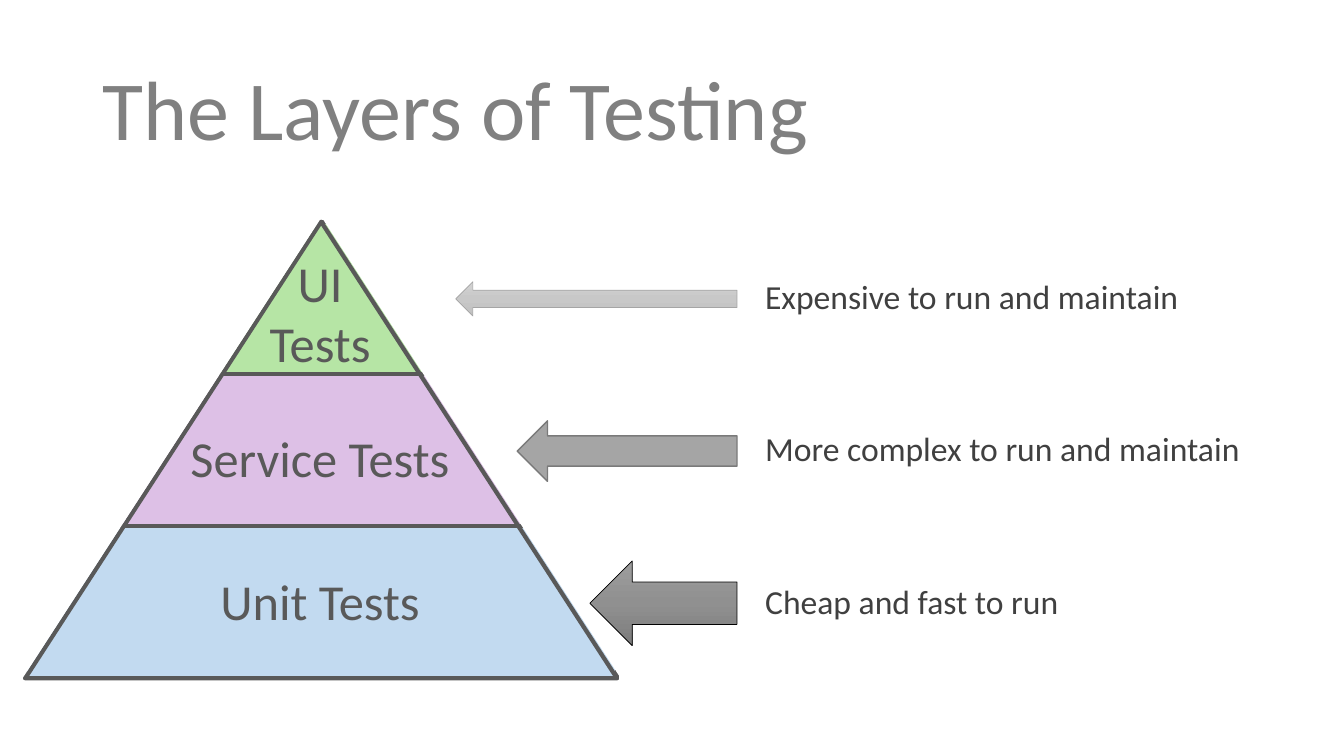
from copy import deepcopy
from pptx import Presentation
from pptx.dml.color import RGBColor
from pptx.enum.shapes import MSO_SHAPE
from pptx.enum.text import MSO_ANCHOR, MSO_AUTO_SIZE, PP_ALIGN
from pptx.oxml.ns import qn
from pptx.util import Inches, Pt

COLORS = {
    "title": "808080", "outline": "595959", "note": "404040", "white": "FFFFFF",
    "ui": "B6E5A5", "service": "DDC0E6", "unit": "C2DAF0",
}
W, H = 13.33, 7.5
PYRAMID = (0.25, 2.2, 5.87, 4.53)
MASK_W, MASK_H = 3.58, 5.52
ARROW_RIGHT, NOTE_LEFT = 7.31, 7.49

# Top to bottom; label_dy is the label's distance below the top of its layer
LAYERS = [
    dict(color="ui", label=["UI", "Tests"], label_dy=0.25, label_h=1.31,
         note="Expensive to run and maintain", arrow=(2.79, 0.34),
         fill=["D2D2D2", "C8C8C8", "C0C0C0"], line=("A5A5A5", 0.5)),
    dict(color="service", label=["Service Tests"], label_dy=0.48, label_h=0.71,
         note="More complex to run and maintain", arrow=(2.18, 0.6),
         fill=["A5A5A5"], line=("7A7A7A", 1)),
    dict(color="unit", label=["Unit Tests"], label_dy=0.39, label_h=0.71,
         note="Cheap and fast to run", arrow=(1.46, 0.84),
         fill=["9D9D9D", "909090", "7C7C7C"], line=("000000", 0.5)),
]


def rgb(color):
    return RGBColor.from_string(COLORS.get(color, color))


def style_font(font, size, color):
    values = {"name": "Calibri", "size": Pt(size)}
    for key, value in values.items():
        setattr(font, key, value)
    font.color.rgb = rgb(color)


def set_gradient(shape, stops):
    """Spread the colours evenly from top to bottom."""
    shape.fill.gradient()
    shape.fill.gradient_angle = 270
    gs_list = shape._element.spPr.find(".//" + qn("a:gsLst"))
    for _ in range(len(stops) - len(gs_list)):
        gs_list.append(deepcopy(gs_list[0]))
    for i, (stop, color) in enumerate(zip(shape.fill.gradient_stops, stops)):
        stop.position = i / (len(stops) - 1)
        stop.color.rgb = rgb(color)


def add_shape(s, kind, box, fill, line, width):
    """Fill is a list of colours: none, one solid, or a gradient."""
    sp = s.shapes.add_shape(kind, *map(Inches, box))
    sp.shadow.inherit = False
    if not fill:
        sp.fill.background()
    elif len(fill) == 1:
        sp.fill.solid()
        sp.fill.fore_color.rgb = rgb(fill[0])
    else:
        set_gradient(sp, fill)
    sp.line.color.rgb = rgb(line)
    sp.line.width = Pt(width)
    return sp


def add_text(s, box, lines, size, color, align=PP_ALIGN.LEFT):
    tf = s.shapes.add_textbox(*map(Inches, box)).text_frame
    tf.word_wrap = True
    tf.auto_size = MSO_AUTO_SIZE.SHAPE_TO_FIT_TEXT
    for i, text in enumerate(lines):
        p = tf.paragraphs[0] if i == 0 else tf.add_paragraph()
        p.alignment = align
        r = p.add_run()
        r.text = text
        style_font(r.font, size, color)


def add_title(s, box, text):
    title = s.shapes.title
    for key, value in zip(("left", "top", "width", "height"), box):
        setattr(title, key, Inches(value))
    tf = title.text_frame
    tf.text = text
    tf.auto_size = MSO_AUTO_SIZE.NONE
    tf.vertical_anchor = MSO_ANCHOR.MIDDLE
    p = tf.paragraphs[0]
    p.alignment = PP_ALIGN.LEFT
    p.line_spacing = 0.9
    style_font(p.runs[0].font, 60, "title")


def add_pyramid(s, box):
    x, y, w, h = box
    step = h / len(LAYERS)
    # Coloured layers
    for i, layer in reversed(list(enumerate(LAYERS))):
        add_shape(s, MSO_SHAPE.FLOWCHART_PROCESS, (x, y + i * step, w, step),
                  [layer["color"]], "outline", 3)
    # Outline, then white corners that trim the layers to its slopes
    add_shape(s, MSO_SHAPE.ISOSCELES_TRIANGLE, box, [], "outline", 3)
    for left, top, flip in ((2.78, 1.51, False), (0, 1.54, True)):
        mask = add_shape(s, MSO_SHAPE.RIGHT_TRIANGLE, (left, top, MASK_W, MASK_H),
                         ["white"], "white", 1)
        mask.rotation = 180
        if flip:
            mask._element.spPr.find(qn("a:xfrm")).set("flipH", "1")
    # Layer names
    for i, layer in enumerate(LAYERS):
        add_text(s, (x + 0.99, y + i * step + layer["label_dy"], 3.87, layer["label_h"]),
                 layer["label"], 36, "outline", PP_ALIGN.CENTER)


def add_notes_column(s, box):
    """Arrows end on one right edge, each centred on its layer."""
    x, y, w, h = box
    step = h / len(LAYERS)
    for i, layer in enumerate(LAYERS):
        top = y + i * step
        arrow_w, arrow_h = layer["arrow"]
        add_shape(s, MSO_SHAPE.LEFT_ARROW,
                  (ARROW_RIGHT - arrow_w, top + (step - arrow_h) / 2 + 0.01, arrow_w, arrow_h),
                  layer["fill"], *layer["line"])
        add_text(s, (x, top + 0.49, w, 0.5), [layer["note"]], 24, "note")


def main():
    prs = Presentation()
    prs.slide_width, prs.slide_height = Inches(W), Inches(H)
    s = prs.slides.add_slide(prs.slide_layouts[5])
    add_title(s, (0.92, 0.4, 11.5, 1.45), "The Layers of Testing")
    add_pyramid(s, PYRAMID)
    add_notes_column(s, (NOTE_LEFT, PYRAMID[1], 5.67, PYRAMID[3]))
    prs.save("out.pptx")


if __name__ == "__main__":
    main()
